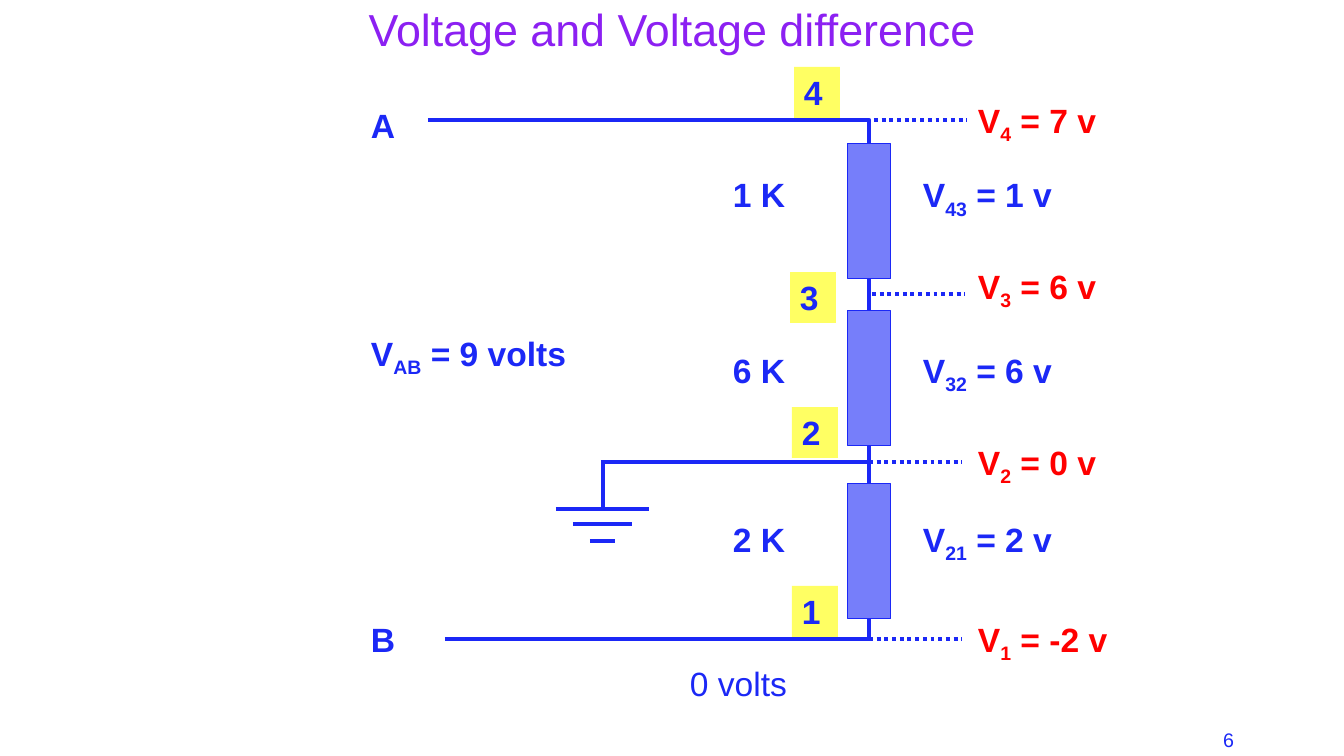
"""Build the slide on voltage and voltage difference in a resistor chain."""
import pptx
import pptx.util
import pptx.dml.color
import pptx.enum.dml
import pptx.enum.shapes
import pptx.enum.text
import pptx.oxml.ns
import lxml.etree

PX = 12192000 // 1344 + 3 / 7
INK = {"blue": "1B28F6", "body": "767EFA", "tag": "FFFF63", "red": "FF0000", "title": "8C20F2"}
ALIGN = pptx.enum.text.PP_ALIGN
KIND = pptx.enum.shapes.MSO_CONNECTOR


def write(shape, text, size=24, color="blue", bold=True, align=ALIGN.LEFT, anchor="TOP"):
    frame = shape.text_frame
    frame.word_wrap = True
    frame.vertical_anchor = pptx.enum.text.MSO_ANCHOR[anchor]
    para = frame.paragraphs[0]
    para.alignment = align
    for i, part in enumerate(text.split("_")):
        run = para.add_run()
        run.text = part
        run.font.name = "Arial"
        run.font.size = pptx.util.Pt(size)
        run.font.bold = bold
        run.font.color.rgb = pptx.dml.color.RGBColor.from_string(INK[color])
        if i % 2:
            run.font._element.set("baseline", "-25000")


def scale(*nums):
    return [round(n * PX) for n in nums]


deck = pptx.Presentation()
deck.slide_width, deck.slide_height = scale(1344, 756)
slide = deck.slides.add_slide(deck.slide_layouts[5])
shapes = slide.shapes

title = shapes.title
title.left, title.top, title.width, title.height = scale(244, 8, 857, 42)
write(title, "Voltage and Voltage difference", size=32, color="title", bold=False,
      align=ALIGN.CENTER, anchor="MIDDLE")

mid = 869
boxes = [(mid - 21, top, 43, 135, "body") for top in (144, 311, 484)]
tags = [("4", 794, 67), ("3", 790, 272), ("2", 792, 407), ("1", 792, 586)]
boxes += [(x, y, 46, 51, "tag") for name, x, y in tags]
names = [""] * 3 + [name for name, x, y in tags]

wires = [
    (428, 120, mid, 144, 3, "bend"),
    (445, 639, mid, 618, 3, "bend"),
    (mid, 279, mid, 311, 3, ""),
    (mid, 446, mid, 484, 3, ""),
    (601, 462, 870, 462, 2.75, ""),
    (603, 509, 603, 464, 3, ""),
]
for half, y in ((46.5, 509), (29.5, 524), (12.5, 541)):
    wires.append((602.5 - half, y, 602.5 + half, y, 2.75, ""))
for x, y in ((874, 120), (872, 294), (mid, 462), (mid, 639)):
    wires.append((x, y, x + 93, y, 2.75, "dot"))

for x, y, far, low, width, style in wires:
    kind = KIND.ELBOW if style == "bend" else KIND.STRAIGHT
    wire = shapes.add_connector(kind, *scale(x, y, far, low))
    wire.line.width = pptx.util.Pt(width)
    wire.line.color.rgb = pptx.dml.color.RGBColor.from_string(INK["blue"])
    if style == "dot":
        wire.line.dash_style = pptx.enum.dml.MSO_LINE.ROUND_DOT
    props = wire._element.spPr
    lxml.etree.SubElement(props, pptx.oxml.ns.qn("a:effectLst"))
    if style == "bend":
        props.find(pptx.oxml.ns.qn("a:prstGeom")).set("prst", "bentConnector2")

for (x, y, wide, high, fill), name in zip(boxes, names):
    box = shapes.add_shape(pptx.enum.shapes.MSO_SHAPE.RECTANGLE, *scale(x, y, wide, high))
    box.shadow.inherit = False
    box.fill.solid()
    box.fill.fore_color.rgb = pptx.dml.color.RGBColor.from_string(INK[fill])
    if name:
        box.line.fill.background()
        write(box, name)
    else:
        box.line.width = pptx.util.Pt(0.75)
        box.line.color.rgb = pptx.dml.color.RGBColor.from_string(INK["blue"])

labels = [
    ("A", 361, 100, 46, {}),
    ("B", 361, 614, 46, {}),
    ("V_AB_ = 9 volts", 361, 328, 240, {}),
    ("0 volts", 680, 658, 163, {"bold": False}),
    ("6", 964, 723, 280, {"size": 14, "bold": False, "align": ALIGN.RIGHT}),
]
for ohms, drop, y in (("1 K", "V_43_ = 1 v", 169), ("6 K", "V_32_ = 6 v", 345),
                      ("2 K", "V_21_ = 2 v", 514)):
    labels += [(ohms, 723, y, 86, {}), (drop, 913, y, 240, {})]
for level, y in (("V_4_ = 7 v", 95), ("V_3_ = 6 v", 261), ("V_2_ = 0 v", 437),
                 ("V_1_ = -2 v", 614)):
    labels.append((level, 968, y, 240, {"color": "red"}))

for text, x, y, wide, look in labels:
    write(shapes.add_textbox(*scale(x, y, wide, 51)), text, **look)

deck.save("out.pptx")
